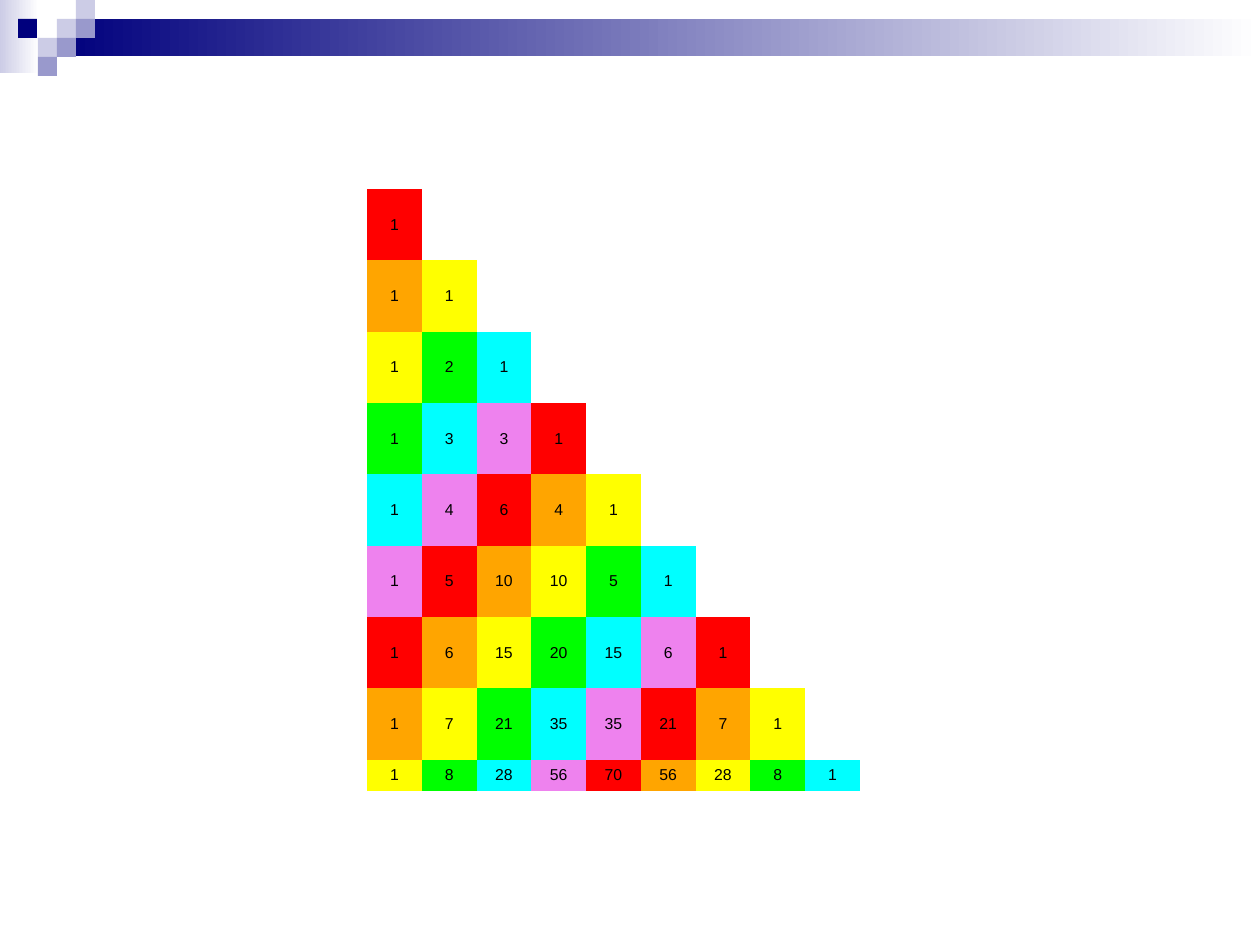
from dataclasses import dataclass
from math import comb

from pptx import Presentation
from pptx.dml.color import RGBColor
from pptx.enum.shapes import MSO_SHAPE
from pptx.enum.text import MSO_ANCHOR, PP_ALIGN
from pptx.oxml.ns import qn
from pptx.util import Emu, Pt

RECTANGLE = MSO_SHAPE.RECTANGLE
CENTER = PP_ALIGN.CENTER
MIDDLE = MSO_ANCHOR.MIDDLE
EMU_PER_PX = 914400 / 126
PLAIN_TABLE_STYLE = "{2D5ABB26-0587-4C30-8999-92F81FD0307C}"


@dataclass(frozen=True)
class Theme:
    font: str = "Arial"
    number_size: int = 9
    ink: str = "000000"
    white: str = "FFFFFF"
    navy: str = "00007D"
    lavender: str = "CCCCE6"
    periwinkle: str = "9999CC"
    # Red, orange, yellow, green, cyan, violet
    rainbow: tuple = ("FF0000", "FFA500", "FFFF00", "00FF00", "00FFFF", "EE82EE")


def px(length):
    return Emu(round(length * EMU_PER_PX))


def write_text(frame, text, *, font, size, color, align=CENTER):
    paragraph = frame.paragraphs[0]
    paragraph.alignment = align
    run = paragraph.add_run()
    run.text = text
    run.font.name = font
    run.font.size = Pt(size)
    run.font.color.rgb = RGBColor.from_string(color)


class SlideBuilder:
    def __init__(self, slide, theme):
        self.slide = slide
        self.theme = theme

    def rectangle(self, left, top, width, height):
        shape = self.slide.shapes.add_shape(
            RECTANGLE, px(left), px(top), px(width), px(height))
        shape.shadow.inherit = False
        shape.line.fill.background()
        return shape

    def block(self, left, top, side, color):
        fill = self.rectangle(left, top, side, side).fill
        fill.solid()
        fill.fore_color.rgb = RGBColor.from_string(color)

    def fading_bar(self, left, top, width, height, color):
        """A bar that fades from its colour on the left to white."""
        fill = self.rectangle(left, top, width, height).fill
        fill.gradient()
        fill.gradient_angle = 180
        for stop, shade in zip(fill.gradient_stops, (self.theme.white, color)):
            stop.color.rgb = RGBColor.from_string(shade)

    def pascal_table(self, left, top, width, row_heights):
        size = len(row_heights)
        frame = self.slide.shapes.add_table(
            size, size, px(left), px(top), px(width), px(sum(row_heights)))
        table = frame.table
        table.first_row = table.horz_banding = False
        next(frame.element.iter(qn("a:tableStyleId"))).text = PLAIN_TABLE_STYLE

        for column in table.columns:
            column.width = px(width / size)
        for n, height in enumerate(row_heights):
            table.rows[n].height = px(height)
            for k in range(size):
                self.pascal_cell(table.cell(n, k), n, k)

    def pascal_cell(self, cell, n, k):
        if k > n:
            cell.fill.background()
            return
        theme = self.theme
        color = theme.rainbow[(n + k) % len(theme.rainbow)]
        cell.fill.solid()
        cell.fill.fore_color.rgb = RGBColor.from_string(color)
        cell.vertical_anchor = MIDDLE
        write_text(cell.text_frame, str(comb(n, k)), font=theme.font,
                   size=theme.number_size, color=theme.ink)


def main():
    presentation = Presentation()
    presentation.slide_width = px(1260)
    presentation.slide_height = px(945)
    theme = Theme()
    slide = presentation.slides.add_slide(presentation.slide_layouts[6])
    builder = SlideBuilder(slide, theme)

    # Header bars
    builder.fading_bar(0, 0, 39, 73, theme.lavender)
    builder.fading_bar(57, 19, 1203, 37, theme.navy)

    # Header mosaic
    side = 19
    mosaic = [
        (57, 1, theme.lavender),
        (76, 0, theme.lavender),
        (76, 1, theme.periwinkle),
        (38, 2, theme.lavender),
        (18, 1, theme.navy),
        (57, 2, theme.periwinkle),
        (38, 3, theme.periwinkle),
    ]
    for left, row, color in mosaic:
        builder.block(left, row * side, side, color)

    # Pascal's triangle: eight equal rows and a shallow last one
    full_row = 571 / 8
    builder.pascal_table(367, 189, 493, [full_row] * 8 + [31])

    presentation.save("out.pptx")


if __name__ == "__main__":
    main()
